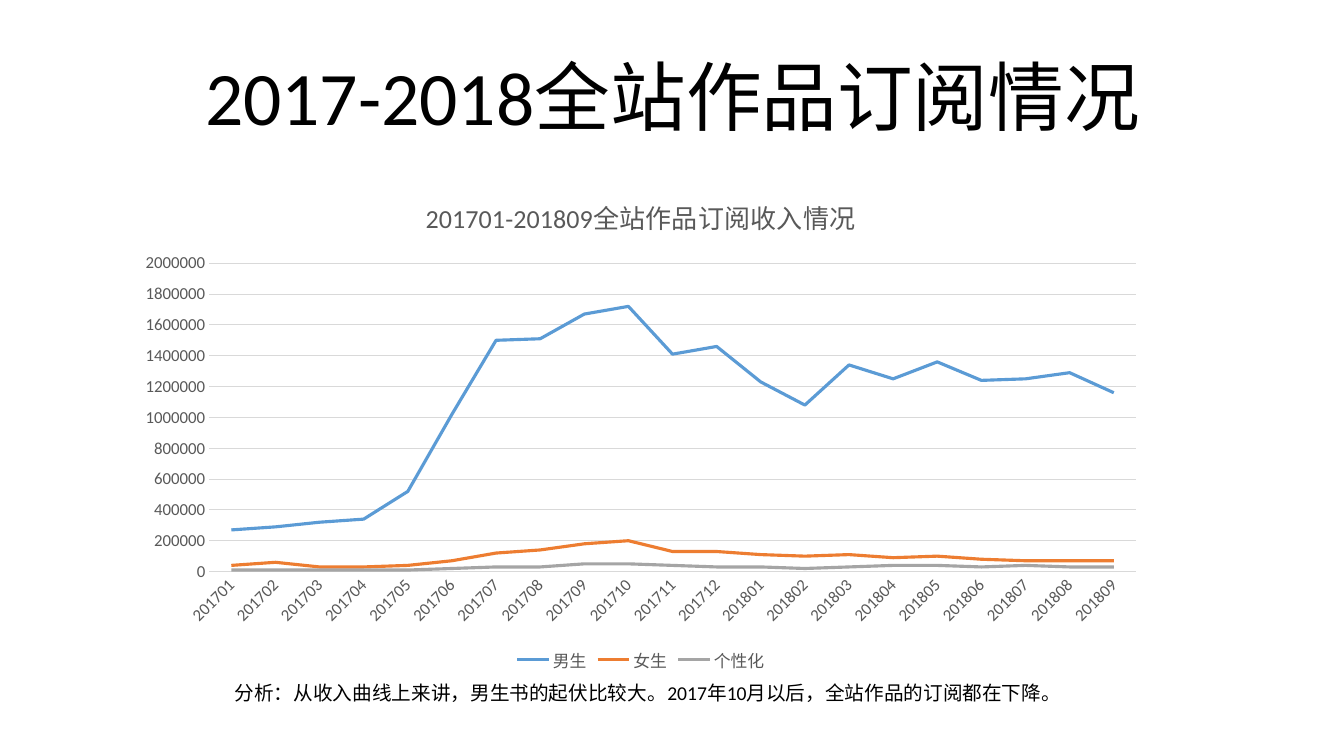
from dataclasses import dataclass

from pptx import Presentation
from pptx.chart.data import CategoryChartData
from pptx.dml.color import RGBColor
from pptx.enum.chart import XL_CHART_TYPE, XL_LEGEND_POSITION as LegendPos, XL_TICK_MARK as Tick
from pptx.enum.text import MSO_ANCHOR as Anchor, MSO_AUTO_SIZE as AutoSize, PP_ALIGN as Align
from pptx.util import Inches, Pt


@dataclass(frozen=True)
class Theme:
    font: str = "Calibri"
    ink: str = "000000"
    muted: str = "595959"
    rule: str = "D9D9D9"
    series: tuple = ("5B9BD5", "ED7D31", "A5A5A5")
    title_size: float = 54
    chart_title_size: float = 18.6
    analysis_size: float = 14
    label_size: float = 12


THEME = Theme()
TITLE_LAYOUT = 5
UNIT = 10000

MONTHS = [f"2017{month:02}" for month in range(1, 13)]
MONTHS += [f"2018{month:02}" for month in range(1, 10)]
# Subscription income by month, in units of 10000
INCOME = {
    "男生": (27, 29, 32, 34, 52, 102, 150, 151, 167, 172, 141,
           146, 123, 108, 134, 125, 136, 124, 125, 129, 116),
    "女生": (4, 6, 3, 3, 4, 7, 12, 14, 18, 20, 13,
           13, 11, 10, 11, 9, 10, 8, 7, 7, 7),
    "个性化": (1, 1, 1, 1, 1, 2, 3, 3, 5, 5, 4,
            3, 3, 2, 3, 4, 4, 3, 4, 3, 3),
}


def style_font(font, size, color):
    font.name = THEME.font
    font.size = Pt(size)
    font.bold = False
    font.color.rgb = RGBColor.from_string(color)


def style_line(line, color, width):
    line.color.rgb = RGBColor.from_string(color)
    line.width = Pt(width)


def place_title(slide, left, top, width, height):
    title = slide.shapes.title
    title.left, title.top, title.width, title.height = map(Inches, (left, top, width, height))
    frame = title.text_frame
    frame.text = "2017-2018全站作品订阅情况"
    frame.auto_size = AutoSize.NONE
    frame.word_wrap = True
    frame.vertical_anchor = Anchor.BOTTOM
    heading = frame.paragraphs[0]
    heading.alignment = Align.CENTER
    heading.line_spacing = 0.9
    style_font(heading.runs[0].font, THEME.title_size, THEME.ink)


def style_axes(chart):
    months, income = chart.category_axis, chart.value_axis
    for axis in (months, income):
        axis.major_tick_mark = axis.minor_tick_mark = Tick.NONE
        style_font(axis.tick_labels.font, THEME.label_size, THEME.muted)
    style_line(months.format.line, THEME.rule, 0.75)
    chart.element.xpath(".//c:catAx/c:txPr/a:bodyPr")[0].set("rot", "-2700000")

    income.format.line.fill.background()
    income.minimum_scale, income.maximum_scale = 0, 200 * UNIT
    income.major_unit = 20 * UNIT
    income.tick_labels.number_format = "0"
    income.tick_labels.number_format_is_linked = False
    style_line(income.major_gridlines.format.line, THEME.rule, 0.75)


def place_income_chart(slide, left, top, width, height):
    data = CategoryChartData(number_format="0")
    data.categories = MONTHS
    for readers, values in INCOME.items():
        data.add_series(readers, [value * UNIT for value in values])
    chart = slide.shapes.add_chart(
        XL_CHART_TYPE.LINE, *map(Inches, (left, top, width, height)), data).chart
    style_font(chart.font, 10, THEME.ink)

    chart.has_title = True
    heading = chart.chart_title.text_frame
    heading.text = "201701-201809全站作品订阅收入情况"
    style_font(heading.paragraphs[0].runs[0].font, THEME.chart_title_size, THEME.muted)

    chart.has_legend = True
    chart.legend.position = LegendPos.BOTTOM
    chart.legend.include_in_layout = False
    style_font(chart.legend.font, THEME.label_size, THEME.muted)

    style_axes(chart)
    plot = chart.plots[0]
    plot.vary_by_categories = False
    for readers, color in zip(plot.series, THEME.series):
        readers.smooth = False
        style_line(readers.format.line, color, 2.25)


def place_analysis(slide, left, top, width, height):
    analysis = slide.shapes.add_textbox(*map(Inches, (left, top, width, height)))
    frame = analysis.text_frame
    frame.word_wrap = True
    frame.auto_size = AutoSize.SHAPE_TO_FIT_TEXT
    frame.text = "分析：从收入曲线上来讲，男生书的起伏比较大。2017年10月以后，全站作品的订阅都在下降。"
    style_font(frame.paragraphs[0].runs[0].font, THEME.analysis_size, THEME.ink)


def main():
    deck = Presentation()
    deck.slide_width, deck.slide_height = Inches(13.33), Inches(7.5)
    slide = deck.slides.add_slide(deck.slide_layouts[TITLE_LAYOUT])
    place_title(slide, 1.67, 0.45, 10, 1.01)
    place_income_chart(slide, 1.24, 1.73, 10.23, 4.98)
    place_analysis(slide, 2.23, 6.71, 8.34, 0.34)
    deck.save("out.pptx")


if __name__ == "__main__":
    main()
